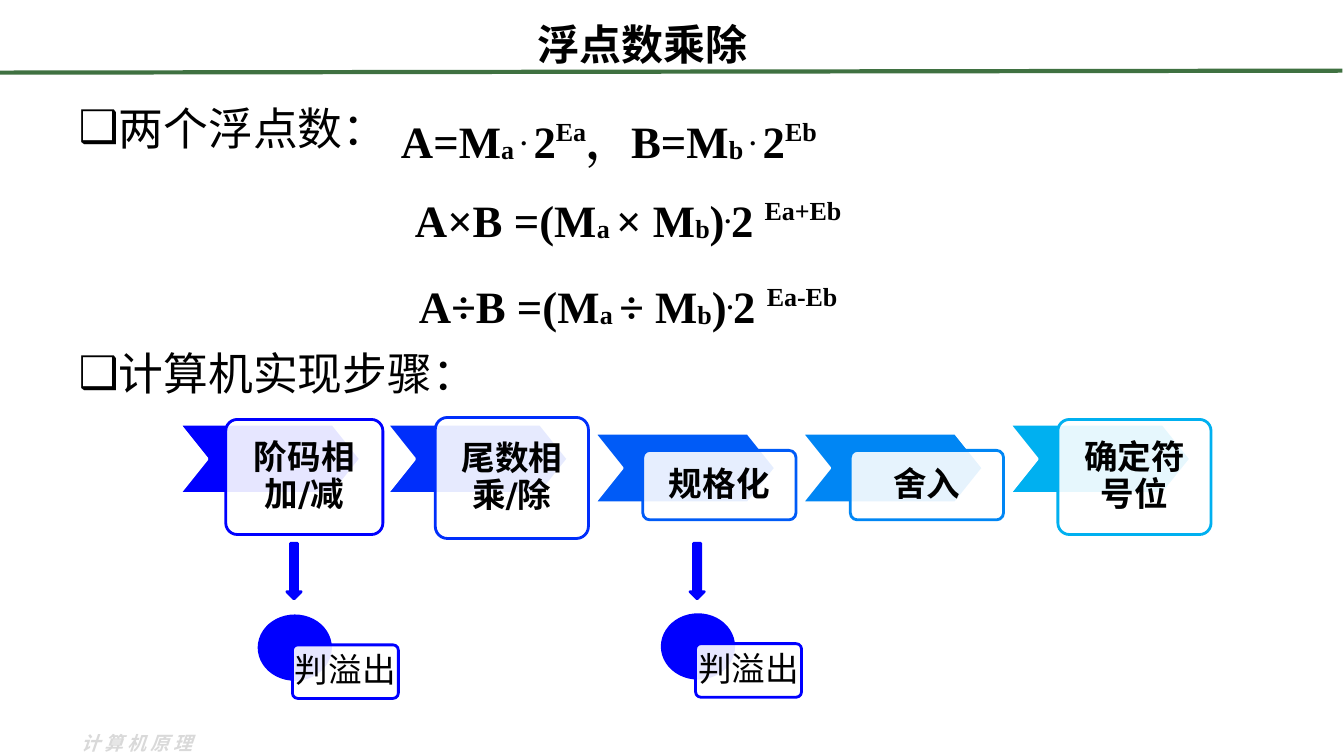
import dataclasses
from typing import Optional

import lxml.etree
import pptx
import pptx.dml.color
import pptx.enum.shapes
import pptx.enum.text
import pptx.oxml.ns
import pptx.util

Cm = pptx.util.Cm
Pt = pptx.util.Pt
ShapeKind = pptx.enum.shapes.MSO_SHAPE
Align = pptx.enum.text.PP_ALIGN
Anchor = pptx.enum.text.MSO_ANCHOR
qn = pptx.oxml.ns.qn

BLACK, WHITE, BLUE = "000000", "FFFFFF", "0000FF"
SANS, CJK, SERIF = "DejaVu Sans", "Noto Sans CJK SC", "Times New Roman"
SUBSCRIPT, RAISED, EXPONENT = -2, 30, 38


@dataclasses.dataclass(frozen=True)
class Box:
    """A frame in centimetres."""
    left: float
    top: float
    width: float
    height: float

    def lengths(self) -> tuple:
        return tuple(Cm(value) for value in dataclasses.astuple(self))


@dataclasses.dataclass(frozen=True)
class Style:
    size: float
    font: str
    color: str = BLACK
    bold: bool = False
    italic: bool = False
    spacing: float = 0


@dataclasses.dataclass(frozen=True)
class Step:
    label: str
    color: str
    chevron_top: float
    card_top: float
    card_width: float
    card_height: float


STEPS = [
    Step("阶码相加/减", BLUE, 10.69, 10.57, 3.96, 2.9),
    Step("尾数相乘/除", "002EFB", 10.69, 10.52, 3.86, 3.05),
    Step("规格化", "005BF7", 10.92, 11.35, 3.86, 1.75),
    Step("舍入", "0086F4", 10.92, 11.35, 3.86, 1.75),
    Step("确定符号位", "00B0F0", 10.69, 10.57, 3.86, 2.9),
]
STEP_CENTER, STEP_PITCH = 7.67, 5.23
OVERFLOW_CHECKS = [(6.53, 15.52), (16.69, 15.49)]

FORMULA = Style(32, SERIF, bold=True)
BODY = Style(32, SANS)
STEP_LABEL = Style(24, SANS, bold=True)
CHECK_LABEL = Style(24, SANS)

OPERANDS = [("A=M", 0), ("a ", SUBSCRIPT), (". ", RAISED), ("2", 0),
            ("Ea", EXPONENT), ("，B=M", 0), ("b ", SUBSCRIPT),
            (". ", RAISED), ("2", 0), ("Eb ", EXPONENT)]


def result_formula(operator: str, exponent: str) -> list:
    return [(f"A{operator}B =(M", 0), ("a ", SUBSCRIPT), (f"{operator} M", 0),
            ("b", SUBSCRIPT), (")", 0), (".", RAISED), ("2 ", 0),
            (exponent, EXPONENT)]


def rgb(color: str) -> pptx.dml.color.RGBColor:
    return pptx.dml.color.RGBColor.from_string(color)


def add_run(paragraph, text: str, style: Style, baseline: int = 0) -> None:
    run = paragraph.add_run()
    run.text = text
    run.font.size = Pt(style.size)
    run.font.name = style.font
    run.font.bold = style.bold
    run.font.italic = style.italic
    run.font.color.rgb = rgb(style.color)
    properties = run._r.get_or_add_rPr()
    lxml.etree.SubElement(properties, qn("a:ea")).set("typeface", style.font)
    if baseline:
        properties.set("baseline", str(baseline * 1000))
    if style.spacing:
        properties.set("spc", str(int(style.spacing * 100)))


def add_text(slide, box: Box, lines: list, style: Style, align=Align.LEFT,
             line_spacing: float = 1.0, wrap: bool = True, anchor=Anchor.TOP):
    """Add a text box; each line is a list of (text, baseline) pairs."""
    frame = slide.shapes.add_textbox(*box.lengths()).text_frame
    frame.word_wrap = wrap
    frame.vertical_anchor = anchor
    for index, line in enumerate(lines):
        paragraph = frame.add_paragraph() if index else frame.paragraphs[0]
        paragraph.alignment = align
        paragraph.line_spacing = line_spacing
        for text, baseline in line:
            add_run(paragraph, text, style, baseline)
    return frame


def add_bullet(paragraph, symbol: str, indent: float) -> None:
    properties = paragraph._p.get_or_add_pPr()
    properties.set("marL", str(Cm(indent)))
    properties.set("indent", str(-Cm(indent)))
    lxml.etree.SubElement(properties, qn("a:buFont")).set("typeface", SANS)
    lxml.etree.SubElement(properties, qn("a:buChar")).set("char", symbol)


def add_shape(slide, kind, box: Box, fill: str, line: str,
              adjustment: Optional[float] = None):
    shape = slide.shapes.add_shape(kind, *box.lengths())
    shape.shadow.inherit = False
    shape.fill.solid()
    shape.fill.fore_color.rgb = rgb(fill)
    shape.line.color.rgb = rgb(line)
    shape.line.width = Pt(2)
    if adjustment is not None:
        shape.adjustments[0] = adjustment
    return shape


def add_card(slide, box: Box, label: str, color: str, style: Style,
             inset: float, wrap: bool) -> None:
    """Add a rounded, nearly opaque white card with a centred label."""
    card = add_shape(slide, ShapeKind.ROUNDED_RECTANGLE, box, WHITE, color, 0.1)
    white = card._element.spPr.find(qn("a:solidFill"))[0]
    lxml.etree.SubElement(white, qn("a:alpha")).set("val", "90000")
    frame = card.text_frame
    frame.word_wrap = wrap
    frame.vertical_anchor = Anchor.MIDDLE
    frame.margin_left = frame.margin_right = Cm(inset)
    frame.margin_top = frame.margin_bottom = Cm(inset)
    paragraph = frame.paragraphs[0]
    paragraph.alignment = Align.CENTER
    paragraph.line_spacing = 0.9
    add_run(paragraph, label, style)


def add_step(slide, step: Step, center: float) -> None:
    add_shape(slide, ShapeKind.CHEVRON,
              Box(center - 3.15, step.chevron_top, 4.57, 1.75),
              step.color, WHITE, 0.4)
    card = Box(center - step.card_width / 2, step.card_top,
               step.card_width, step.card_height)
    add_card(slide, card, step.label, step.color, STEP_LABEL, 0.48, True)


def add_overflow_check(slide, left: float, top: float) -> None:
    add_shape(slide, ShapeKind.OVAL, Box(left, top, 1.8, 1.6), BLUE, BLUE)
    add_card(slide, Box(left + 0.84, top + 0.73, 2.67, 1.35), "判溢出", BLUE,
             CHECK_LABEL, 0, False)
    add_shape(slide, ShapeKind.DOWN_ARROW, Box(left + 0.7, 13.69, 0.36, 1.4),
              BLUE, BLUE)


def add_title_rule(slide) -> None:
    rule = slide.shapes.add_connector(
        pptx.enum.shapes.MSO_CONNECTOR.STRAIGHT,
        Cm(0), Cm(1.83), Cm(33.83), Cm(1.78))
    rule.line.color.rgb = rgb("3F7141")
    rule.line.width = Pt(3)
    lxml.etree.SubElement(rule._element.spPr, qn("a:effectLst"))


def main() -> None:
    presentation = pptx.Presentation()
    presentation.slide_width = Cm(33.87)
    presentation.slide_height = Cm(19.05)
    slide = presentation.slides.add_slide(presentation.slide_layouts[6])

    add_text(slide, Box(1.8, 18.31, 3.71, 0.86), [[("计算机原理", 0)]],
             Style(13.5, CJK, "D9D9D9", True, True, 3))
    add_text(slide, Box(4.32, 0.33, 23.77, 1.55), [[("浮点数乘除", 0)]],
             Style(30, CJK, bold=True), Align.CENTER, anchor=Anchor.MIDDLE)
    add_text(slide, Box(9.53, 1.93, 11.79, 2.16), [OPERANDS], FORMULA,
             Align.CENTER, 1.6, wrap=False)
    add_text(slide, Box(7.37, 3.91, 16.92, 4.62),
             [result_formula("×", "Ea+Eb"), result_formula("÷", "Ea-Eb")],
             FORMULA, Align.CENTER, 1.6)

    body = add_text(slide, Box(1.73, 2.41, 30.33, 14),
                    [[("两个浮点数：", 0)], [("计算机实现步骤：", 0)]], BODY)
    body.paragraphs[1].space_before = Pt(137)
    for paragraph in body.paragraphs:
        add_bullet(paragraph, "❑", 0.97)

    for index, step in enumerate(STEPS):
        add_step(slide, step, STEP_CENTER + index * STEP_PITCH)
    for left, top in OVERFLOW_CHECKS:
        add_overflow_check(slide, left, top)
    add_title_rule(slide)
    presentation.save("out.pptx")


if __name__ == "__main__":
    main()
